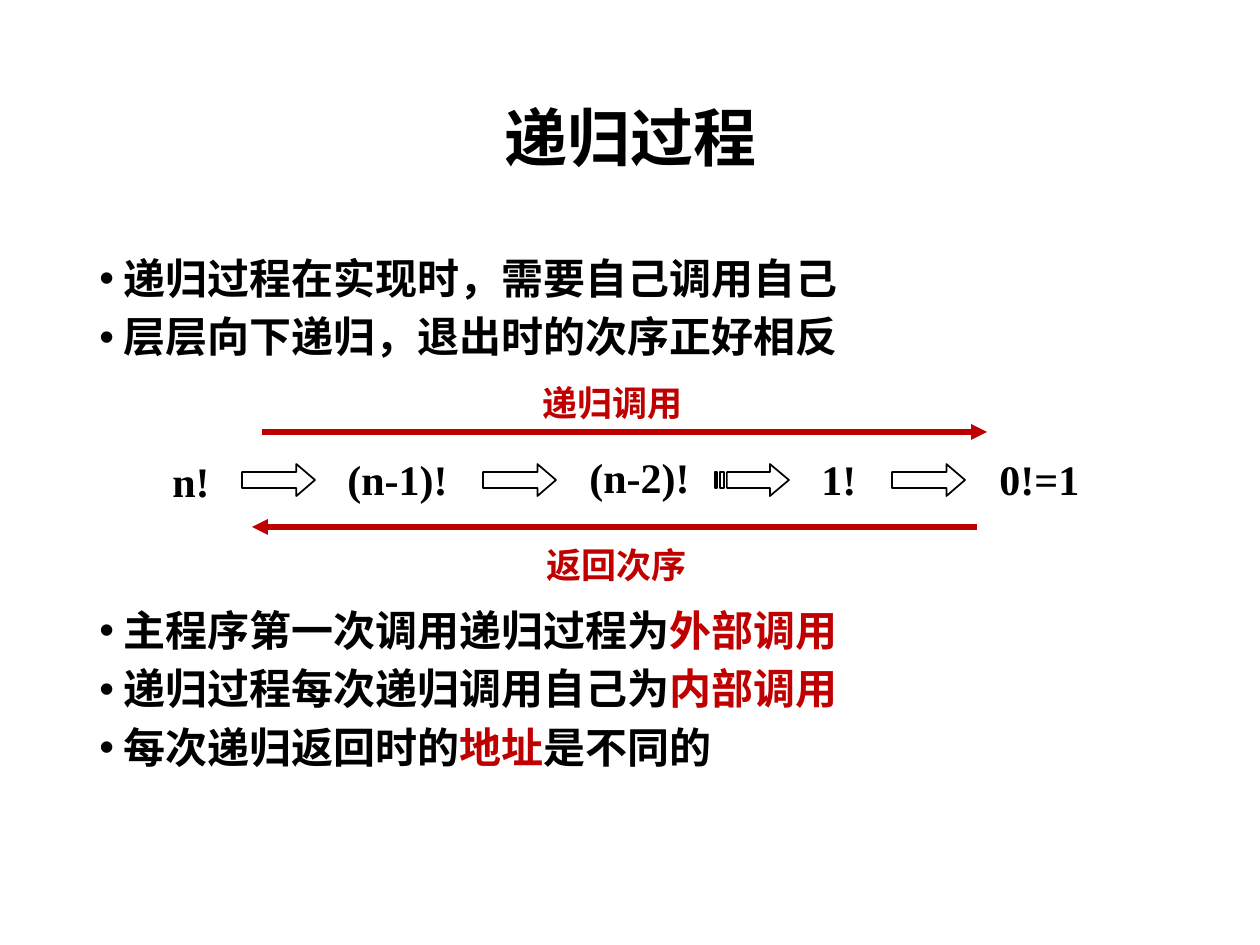
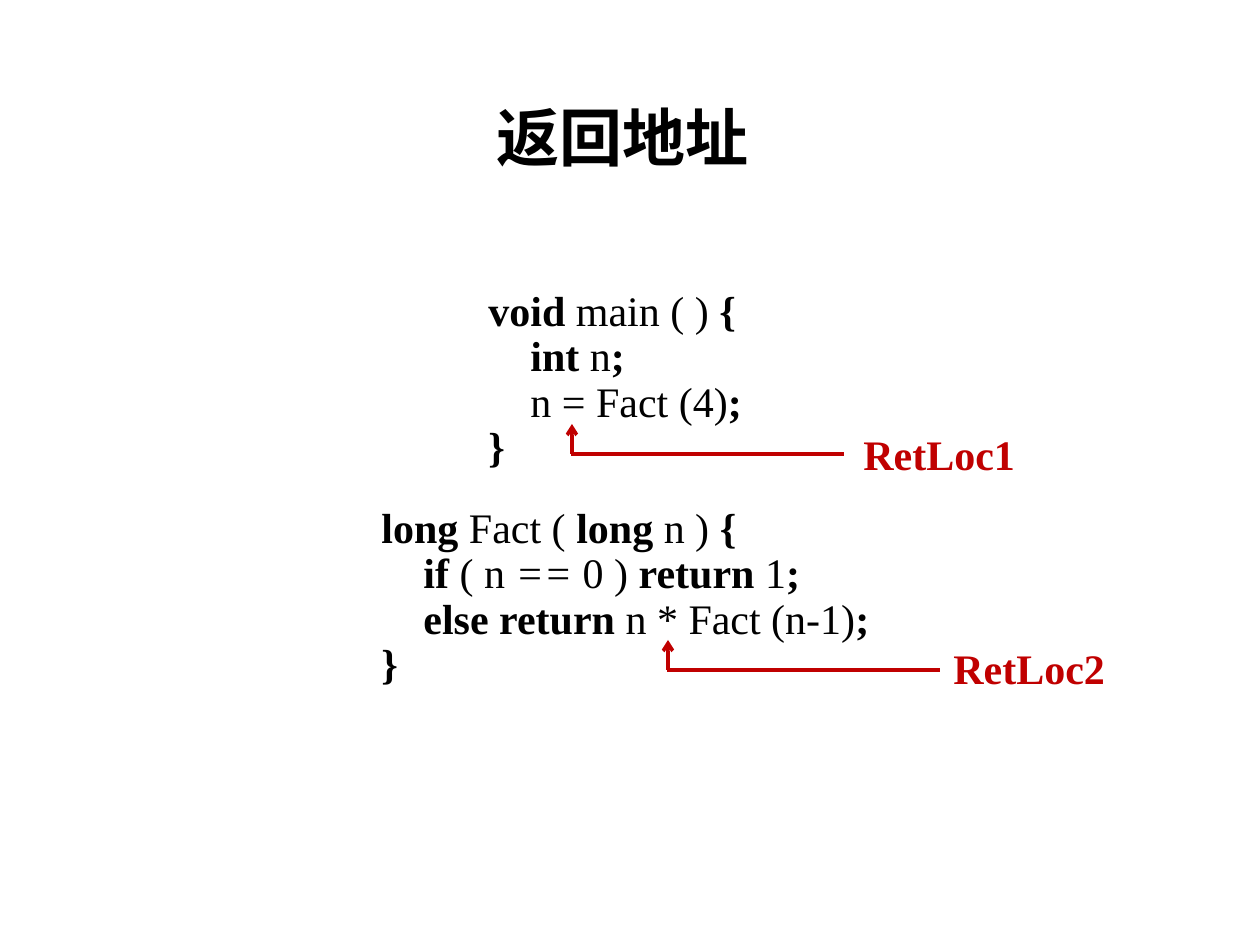
from lxml import etree
from pptx import Presentation
from pptx.dml.color import RGBColor
from pptx.enum.shapes import MSO_CONNECTOR, MSO_SHAPE
from pptx.enum.text import MSO_ANCHOR, MSO_AUTO_SIZE, PP_ALIGN
from pptx.oxml.ns import qn
from pptx.util import Emu, Pt

LINE, ARROW = MSO_CONNECTOR.STRAIGHT, MSO_SHAPE.RIGHT_ARROW
MIDDLE, CENTER, FIXED = MSO_ANCHOR.MIDDLE, PP_ALIGN.CENTER, MSO_AUTO_SIZE.NONE

SCALE = 914400 / 126  # EMU in one px
COLORS = {"ink": "000000", "red": "C00000"}
HAN, ROMAN = "Noto Sans CJK SC", "Times New Roman"
TITLE = (87, 50, 1086, 183)
INDENT = 24  # hanging indent of a bullet
TAB = 42     # one level of code

# Run styles: color, bold, italic
STYLES = {
    "key": ("ink", True, False),
    "code": ("ink", False, False),
    "slant": ("ink", False, True),
    "red": ("red", True, False),
}

# Slide 1: bullets as (box, paragraphs), each paragraph a list of (style, text)
BULLETS = [
    ((87, 252, 1086, 125), [
        [("key", "递归过程在实现时，需要自己调用自己")],
        [("key", "层层向下递归，退出时的次序正好相反")],
    ]),
    ((87, 604, 1086, 190), [
        [("key", "主程序第一次调用递归过程为"), ("red", "外部调用")],
        [("key", "递归过程每次递归调用自己为"), ("red", "内部调用")],
        [("key", "每次递归返回时的"), ("red", "地址"), ("key", "是不同的")],
    ]),
]
TERMS = [("n!", 160, 449, 63), ("(n-1)!", 335, 447, 127), ("(n-2)!", 577, 445, 127),
         ("1!", 809, 447, 60), ("0!=1", 987, 447, 106)]
STEPS = [242, 483, 892]  # left edges of the block arrows
STEP_TOP, STEP_W, STEP_H = 464, 73, 32
# Label, its left and top, then the arrow's start and end
FLOWS = [("递归调用", 530, 375, (262, 432), (987, 432)),
         ("返回次序", 534, 537, (977, 527), (252, 527))]

# Slide 2: code as (box, lines), each line a (level, runs) pair
CODE = [
    ((476, 284, 307, 197), [
        (0, [("key", "void"), ("code", " main ( ) "), ("key", "{")]),
        (1, [("key", "int"), ("code", " n"), ("key", ";")]),
        (1, [("code", "n = Fact (4)"), ("key", ";")]),
        (0, [("key", "}")]),
    ]),
    ((369, 501, 522, 197), [
        (0, [("key", "long"), ("code", " Fact ( "), ("key", "long"),
             ("code", " n ) "), ("key", "{")]),
        (1, [("key", "if"), ("code", " ( n"), ("slant", " =="), ("code", " 0 ) "),
             ("key", "return"), ("code", " 1"), ("key", ";")]),
        (1, [("key", "else return"), ("code", " n * Fact (n-1)"), ("key", ";")]),
        (0, [("key", "}")]),
    ]),
]
# Label, its left and top, then the corner of the pointer
RETURNS = [("RetLoc1", 851, 422, 572, 454), ("RetLoc2", 941, 636, 668, 670)]
REACH, RISE = 272, 30


def px(*vals):
    return [Emu(round(v * SCALE)) for v in vals]


def color(name):
    return RGBColor.from_string(COLORS[name])


def style_run(run, style, size, font):
    tone, bold, slant = STYLES[style]
    run.font.size, run.font.name = Pt(size), font
    run.font.bold, run.font.italic = bold, slant
    run.font.color.rgb = color(tone)
    etree.SubElement(run._r.get_or_add_rPr(), qn("a:ea")).set("typeface", font)


def fill_para(para, runs, size, font):
    for style, text in runs:
        run = para.add_run()
        run.text = text
        style_run(run, style, size, font)


def add_box(slide, box, paras, size, font, wrap=True):
    frame = slide.shapes.add_textbox(*px(*box)).text_frame
    frame.word_wrap = wrap
    for i, runs in enumerate(paras):
        para = frame.add_paragraph() if i else frame.paragraphs[0]
        fill_para(para, runs, size, font)
    return frame.paragraphs


def set_indent(para, left, first=0):
    props = para._p.get_or_add_pPr()
    props.set("marL", str(px(left)[0]))
    props.set("indent", str(px(first)[0]))
    return props


def add_line(slide, start, end, width, head=None):
    line = slide.shapes.add_connector(LINE, *px(*start, *end))
    line.line.color.rgb, line.line.width = color("red"), Pt(width)
    if head:
        etree.SubElement(line.line._get_or_add_ln(), qn("a:tailEnd")).set("type", head)
    etree.SubElement(line._element.spPr, qn("a:effectLst"))


def outline(shape):
    shape.shadow.inherit = False
    shape.fill.background()
    shape.line.color.rgb, shape.line.width = color("ink"), Pt(1)


def add_slide(deck, text):
    slide = deck.slides.add_slide(deck.slide_layouts[5])
    title = slide.shapes.title
    title.left, title.top, title.width, title.height = px(*TITLE)
    frame = title.text_frame
    frame.text = text
    frame.auto_size, frame.vertical_anchor = FIXED, MIDDLE
    para = frame.paragraphs[0]
    para.alignment, para.line_spacing = CENTER, 0.9
    style_run(para.runs[0], "key", 36, HAN)
    return slide


def draw_steps(slide):
    for left in STEPS:
        step = slide.shapes.add_shape(ARROW, *px(left, STEP_TOP, STEP_W, STEP_H))
        step.adjustments[0], step.adjustments[1] = 0.5, 0.58
        outline(step)
    # Striped arrow for the steps left out
    top, low = STEP_TOP + 8, STEP_TOP + 24
    pen = slide.shapes.build_freeform(770, STEP_TOP, SCALE)
    pen.add_line_segments([(770, top), (727, top), (727, low), (770, low),
                           (770, STEP_TOP + STEP_H), (789, STEP_TOP + 16)])
    for left, right in [(720, 724), (715, 717)]:
        pen.move_to(left, top)
        pen.add_line_segments([(left, low), (right, low), (right, top)])
    outline(pen.convert_to_shape())


def draw_process(deck):
    slide = add_slide(deck, "递归过程")
    for box, paras in BULLETS:
        for para in add_box(slide, box, paras, 24, HAN):
            para.line_spacing, para.space_before = 0.9, Pt(7.5)
            props = set_indent(para, INDENT, -INDENT)
            etree.SubElement(props, qn("a:buFont")).set("typeface", "Arial")
            etree.SubElement(props, qn("a:buChar")).set("char", "•")
    draw_steps(slide)
    for text, left, top, start, end in FLOWS:
        add_line(slide, start, end, 3, "triangle")
        add_box(slide, (left, top, 166, 55), [[("red", text)]], 20, HAN, False)
    for text, left, top, width in TERMS:
        add_box(slide, (left, top, width, 63), [[("key", text)]], 24, ROMAN, False)


def draw_return(deck):
    slide = add_slide(deck, "返回地址 ")
    for box, lines in CODE:
        paras = add_box(slide, box, [runs for _, runs in lines], 24, ROMAN)
        for para, (level, _) in zip(paras, lines):
            para.line_spacing = 0.9
            set_indent(para, level * TAB)
    for text, left, top, x, y in RETURNS:
        add_line(slide, (x - 1, y), (x + REACH, y), 2)
        add_line(slide, (x, y), (x, y - RISE), 2, "arrow")
        add_box(slide, (left, top, 179, 63), [[("red", text)]], 24, ROMAN, False)


def main():
    deck = Presentation()
    deck.slide_width, deck.slide_height = px(1260, 945)
    draw_process(deck)
    draw_return(deck)
    deck.save("out.pptx")


if __name__ == "__main__":
    main()
